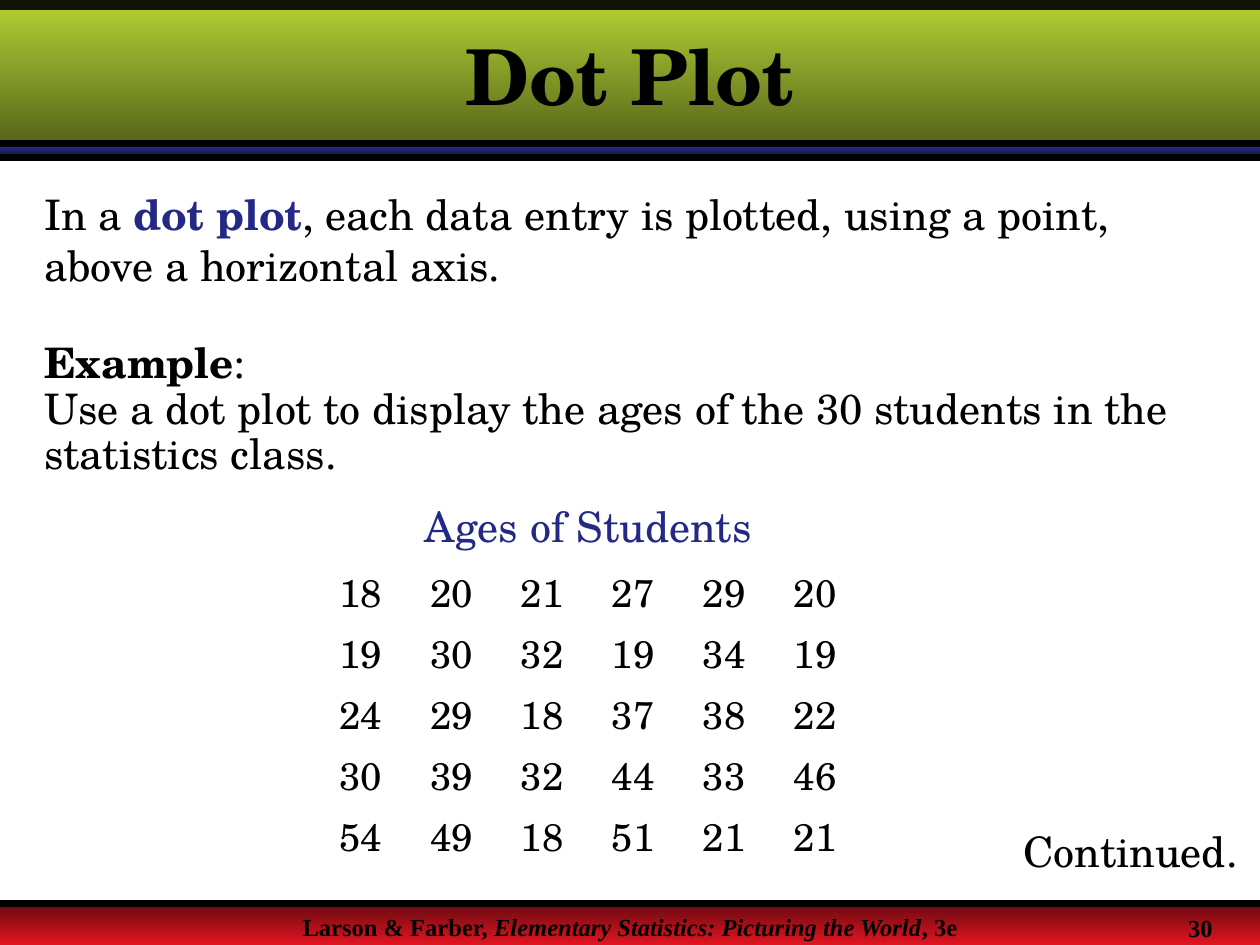
from lxml.etree import SubElement
from pptx import Presentation
from pptx.dml.color import RGBColor
from pptx.enum.shapes import MSO_CONNECTOR, MSO_SHAPE
from pptx.enum.text import MSO_ANCHOR, MSO_AUTO_SIZE, PP_ALIGN
from pptx.oxml.ns import qn
from pptx.util import Cm, Pt

BLACK = RGBColor(0x00, 0x00, 0x00)
NAVY = RGBColor(0x24, 0x29, 0x85)
NAVY_DARK = RGBColor(0x11, 0x13, 0x3E)
GREEN = RGBColor(0xB5, 0xD3, 0x35)
GREEN_DARK = RGBColor(0x54, 0x62, 0x19)
RED = RGBColor(0xE1, 0x15, 0x21)
RED_DARK = RGBColor(0x68, 0x0A, 0x0F)

WIDTH, HEIGHT = 25.4, 19.05
MARGIN, BODY_WIDTH = 0.64, 23.28

TITLE = {"name": "TeX Gyre Schola", "size": Pt(44), "bold": True}
BODY = {"name": "TeX Gyre Schola", "size": Pt(24), "bold": False}
AGE = {"name": "TeX Gyre Schola", "size": Pt(22), "bold": False}
FOOTER = {"name": "Times New Roman", "size": Pt(14), "bold": True}
STRONG = {"bold": True}
ITALIC = {"italic": True}

GROW = {"auto_size": MSO_AUTO_SIZE.SHAPE_TO_FIT_TEXT}
MIDDLE = {"vertical_anchor": MSO_ANCHOR.MIDDLE}
LEFT = {"alignment": PP_ALIGN.LEFT}
CENTER = {"alignment": PP_ALIGN.CENTER}
RIGHT = {"alignment": PP_ALIGN.RIGHT}
TIGHT = {"alignment": PP_ALIGN.LEFT, "line_spacing": 0.9}

footer_band = (18.21, 0.84, RED_DARK, RED)
blue_band = (2.97, 0.2, NAVY, NAVY_DARK)
title_band = (0, 2.97, GREEN, GREEN_DARK)
top_band = (0, 0.2)
rules = [3.18, 18.21, 2.9]

footer = [[("Larson & Farber, ", BLACK, {}),
           ("Elementary Statistics: Picturing the World", BLACK, ITALIC),
           (", 3e", BLACK, {})]]
definition = [[("In a ", BLACK, {}), ("dot plot", NAVY, STRONG),
               (", each data entry is plotted, using a point, above a horizontal axis.", BLACK, {})]]
example = [[("Example", BLACK, STRONG), (":", BLACK, {})],
           [("Use a dot plot to display the ages of the 30 students in the statistics class.",
             BLACK, {})]]

texts = [
    ((0, 18.26, WIDTH, 0.51), footer, FOOTER, CENTER, {}),
    ((23.7, 18.29, 1.7, 0.86), [[("30", BLACK, {})]], FOOTER, LEFT, GROW),
    ((0, 0.23, WIDTH, 2.57), [[("Dot Plot", BLACK, {})]], TITLE, CENTER, MIDDLE),
    ((MARGIN, 3.68, BODY_WIDTH, 2.29), definition, BODY, LEFT, GROW),
    ((MARGIN, 6.78, BODY_WIDTH, 3), example, BODY, TIGHT, GROW),
    ((7.83, 9.96, 8.05, 1.27), [[("Ages of Students", NAVY, {})]], BODY, CENTER, GROW),
    ((19.48, 16.51, 5.72, 1.27), [[("Continued.", BLACK, {})]], BODY, RIGHT, GROW),
]

ages = [
    [18, 20, 21, 27, 29, 20],
    [19, 30, 32, 19, 34, 19],
    [24, 29, 18, 37, 38, 22],
    [30, 39, 32, 44, 33, 46],
    [54, 49, 18, 51, 21, 21],
]
AGES_LEFT, AGES_TOP, AGES_WIDTH, AGES_HEIGHT = 6.35, 11.23, 11, 6.15


def apply(target, values):
    for key, value in values.items():
        setattr(target, key, value)


def write(frame, paragraphs, font, layout):
    for index, runs in enumerate(paragraphs):
        paragraph = frame.paragraphs[0] if index == 0 else frame.add_paragraph()
        apply(paragraph, layout)
        for text, color, emphasis in runs:
            run = paragraph.add_run()
            run.text = text
            apply(run.font, {**font, **emphasis})
            run.font.color.rgb = color


def add_band(shapes, top, height):
    band = shapes.add_shape(MSO_SHAPE.RECTANGLE, 0, Cm(top), Cm(WIDTH), Cm(height))
    band.shadow.inherit = False
    band.line.fill.background()
    return band


def add_gradient_band(shapes, top, height, start, end):
    fill = add_band(shapes, top, height).fill
    fill.gradient()
    fill.gradient_angle = 270
    for stop, color in zip(fill.gradient_stops, (start, end)):
        stop.color.rgb = color


def add_top_band(shapes, top, height):
    fill = add_band(shapes, top, height).fill
    fill.solid()
    fill.fore_color.rgb = BLACK
    color = fill._xPr.find(qn("a:solidFill")).find(qn("a:srgbClr"))
    SubElement(color, qn("a:alpha"), val="90000")


def add_rule(shapes, top):
    rule = shapes.add_connector(MSO_CONNECTOR.STRAIGHT, 0, Cm(top), Cm(WIDTH), Cm(top))
    rule.line.color.rgb = BLACK
    rule.line.width = Pt(4)
    SubElement(rule._element.spPr, qn("a:effectLst"))


def add_ages(shapes):
    table = shapes.add_table(len(ages), len(ages[0]), Cm(AGES_LEFT), Cm(AGES_TOP),
                             Cm(AGES_WIDTH), Cm(AGES_HEIGHT)).table
    apply(table, {"first_row": False, "horz_banding": False})
    for row, values in enumerate(ages):
        for column, age in enumerate(values):
            cell = table.cell(row, column)
            cell.fill.background()
            write(cell.text_frame, [[(str(age), BLACK, {})]], AGE, CENTER)


def main():
    presentation = Presentation()
    apply(presentation, {"slide_width": Cm(WIDTH), "slide_height": Cm(HEIGHT)})
    shapes = presentation.slides.add_slide(presentation.slide_layouts[6]).shapes

    for band in (footer_band, blue_band, title_band):
        add_gradient_band(shapes, *band)
    add_top_band(shapes, *top_band)
    for top in rules:
        add_rule(shapes, top)
    for place, paragraphs, font, layout, fit in texts:
        frame = shapes.add_textbox(*map(Cm, place)).text_frame
        apply(frame, {"word_wrap": True, **fit})
        write(frame, paragraphs, font, layout)
    add_ages(shapes)

    presentation.save("out.pptx")


if __name__ == "__main__":
    main()
